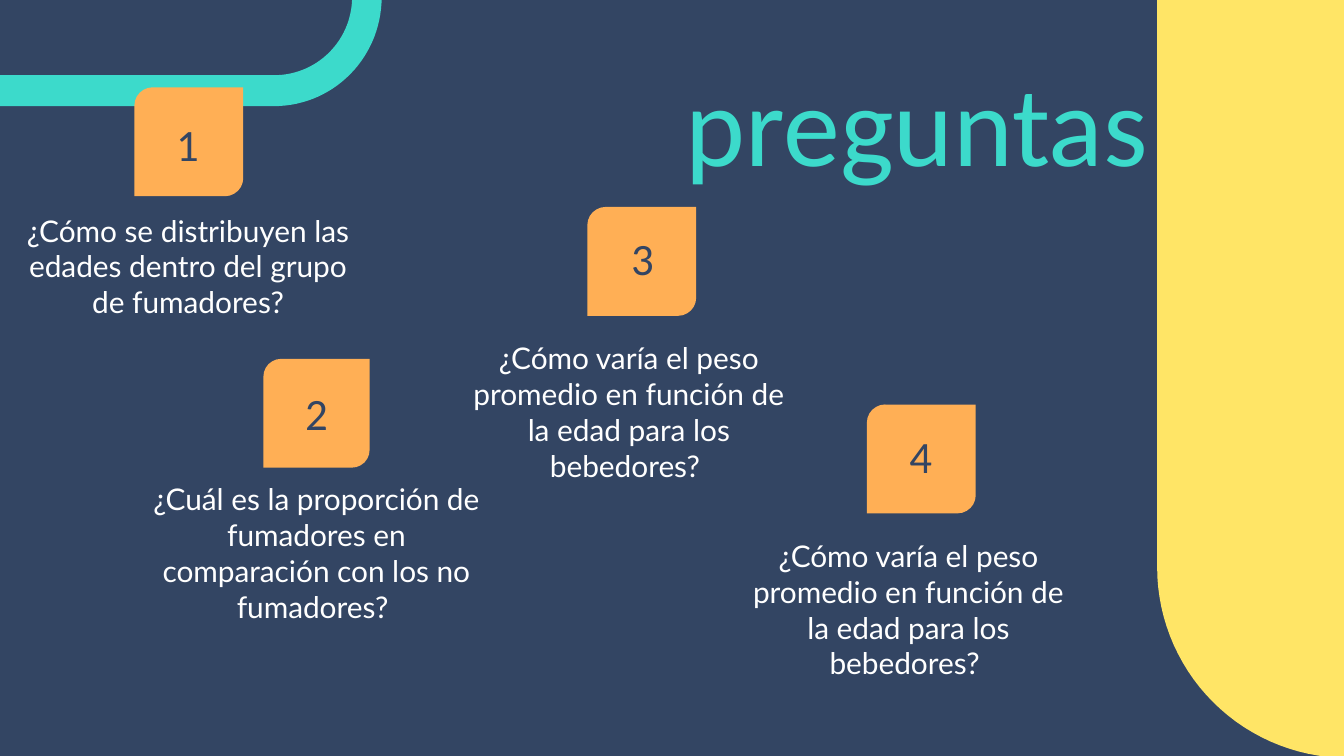
from math import cos, radians, sin

from pptx import Presentation
from pptx.dml.color import RGBColor
from pptx.enum.shapes import MSO_SHAPE
from pptx.enum.text import MSO_ANCHOR, MSO_AUTO_SIZE, PP_ALIGN
from pptx.util import Inches, Pt

NAVY = RGBColor(0x33, 0x45, 0x63)
TEAL = RGBColor(0x3C, 0xDA, 0xCB)
YELLOW = RGBColor(0xFF, 0xE5, 0x66)
ORANGE = RGBColor(0xFF, 0xAF, 0x55)
WHITE = RGBColor(0xFF, 0xFF, 0xFF)


def paint(shape, color):
    shape.shadow.inherit = False
    shape.fill.solid()
    shape.fill.fore_color.rgb = color
    shape.line.fill.background()


def write(box, text, font, size, color, align, anchor):
    frame = box.text_frame
    frame_format = {
        "text": text, "word_wrap": True, "auto_size": MSO_AUTO_SIZE.NONE,
        "vertical_anchor": anchor, "margin_left": Inches(0.1),
        "margin_right": Inches(0.1), "margin_top": Inches(0.1),
        "margin_bottom": Inches(0.1),
    }
    for name, value in frame_format.items():
        setattr(frame, name, value)
    paragraph = frame.paragraphs[0]
    paragraph.alignment = align
    run_font = paragraph.runs[0].font
    run_font.name, run_font.size = font, Pt(size)
    run_font.color.rgb = color


# Widescreen slide, 16:9
deck = Presentation()
deck.slide_width = Inches(10)
deck.slide_height = Inches(10 * 9 / 16)
slide = deck.slides.add_slide(deck.slide_layouts[5])
slide.background.fill.solid()
slide.background.fill.fore_color.rgb = NAVY
shapes = slide.shapes

# Teal band and yellow corner: straight edges joined by quarter circles
quarter = [radians(degree) for degree in range(0, 91, 3)]
outer_bend = [(2.04 + 0.8 * cos(a), -0.02 + 0.81 * sin(a)) for a in quarter]
inner_bend = [(2.04 + 0.58 * cos(a), -0.02 + 0.58 * sin(a)) for a in quarter]
teal_band = outer_bend + [(0, 0.79), (0, 0.56)] + inner_bend[::-1]
yellow_corner = [(10.03, 2.94), (8.61, 2.94)] + [
    (10.03 - 1.42 * cos(a), 4.22 + 1.42 * sin(a)) for a in quarter]

for outline, color in ((teal_band, TEAL), (yellow_corner, YELLOW)):
    points = [(Inches(x), Inches(y)) for x, y in outline]
    builder = shapes.build_freeform(*points[0])
    builder.add_line_segments(points[1:], close=True)
    paint(builder.convert_to_shape(), color)

yellow_column = shapes.add_shape(
    MSO_SHAPE.RECTANGLE, Inches(8.61), Inches(-0.02), Inches(1.43), Inches(3.16))
paint(yellow_column, YELLOW)

# Title
title = shapes.title
title_place = {"left": 5, "top": 0.29, "width": 4.4, "height": 1.18}
for side, length in title_place.items():
    setattr(title, side, Inches(length))
write(title, "preguntas", "Calibri", 61, TEAL, PP_ALIGN.LEFT, MSO_ANCHOR.TOP)

# Questions: text, tile place, number place, question place
weight_question = ("¿Cómo varía el peso promedio en función de la edad "
                   "para los bebedores? ")
questions = [
    ("¿Cómo se distribuyen las edades dentro del grupo de fumadores?",
     (1, 0.65, 0.81, 0.81), (1.15, 0.93, 0.49, 0.44), (0.07, 1.48, 2.66, 1.08)),
    ("¿Cuál es la proporción de fumadores en comparación con los no fumadores? ",
     (1.96, 2.67, 0.79, 0.81), (2.14, 2.93, 0.43, 0.44), (0.96, 3.48, 2.79, 1.08)),
    (weight_question,
     (4.37, 1.54, 0.81, 0.81), (4.5, 1.81, 0.56, 0.41), (3.35, 2.43, 2.66, 0.98)),
    (weight_question,
     (6.45, 3.01, 0.81, 0.81), (6.57, 3.28, 0.56, 0.41), (5.43, 3.9, 2.66, 0.98)),
]
for number, (question, tile_place, number_place, question_place) in enumerate(questions, 1):
    tile = shapes.add_shape(
        MSO_SHAPE.ROUND_2_DIAG_RECTANGLE, *map(Inches, tile_place))
    tile.adjustments[0] = 0.167
    tile.adjustments[1] = 0
    paint(tile, ORANGE)
    write(shapes.add_textbox(*map(Inches, number_place)), str(number),
          "Calibri", 24, NAVY, PP_ALIGN.CENTER, MSO_ANCHOR.BOTTOM)
    write(shapes.add_textbox(*map(Inches, question_place)), question,
          "Lato", 16, WHITE, PP_ALIGN.CENTER, MSO_ANCHOR.TOP)

deck.save("out.pptx")
